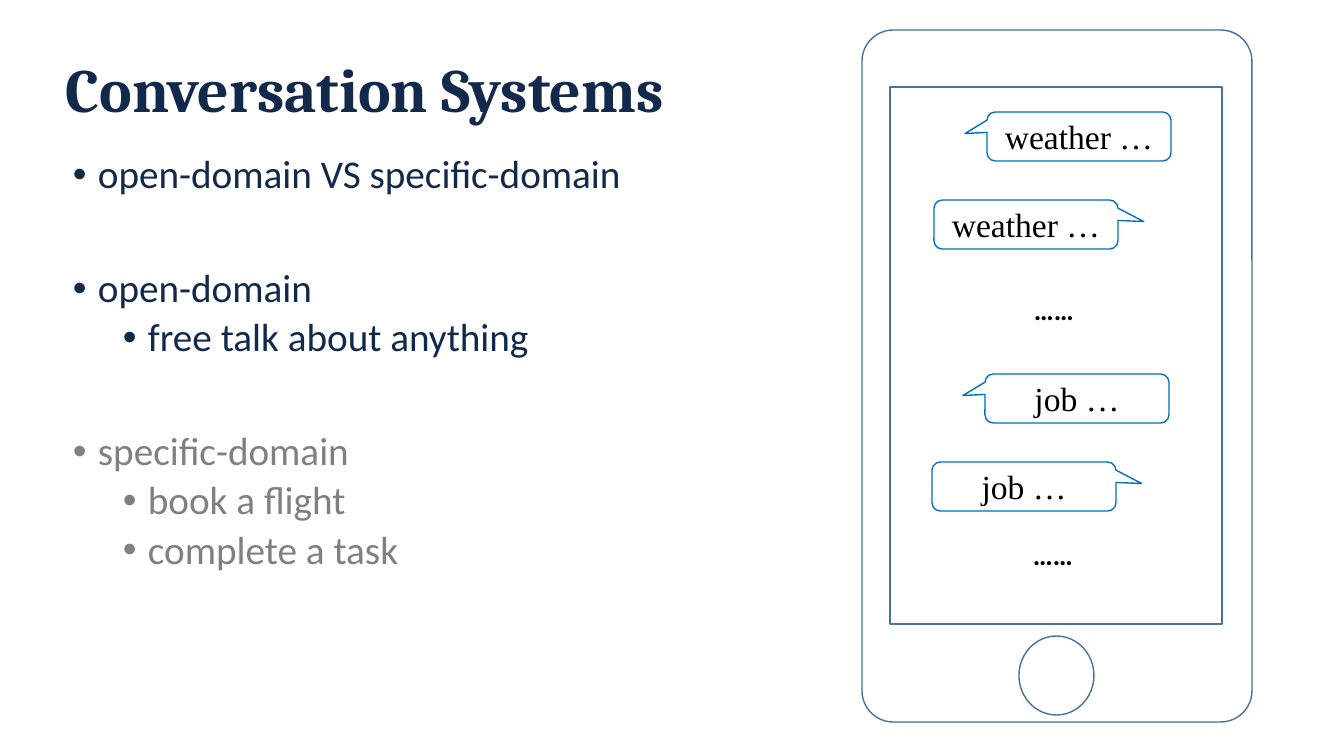
import pptx
import pptx.dml.color
import pptx.enum.shapes
import pptx.enum.text
import pptx.oxml.ns
import pptx.util
from lxml import etree

RGB = pptx.dml.color.RGBColor
SHAPES = pptx.enum.shapes.MSO_SHAPE
ALIGN = pptx.enum.text.PP_ALIGN
ANCHOR = pptx.enum.text.MSO_ANCHOR

NAVY = RGB(0x13, 0x29, 0x4B)
GRAY = RGB(0x80, 0x80, 0x80)
BLACK = RGB(0, 0, 0)
WHITE = RGB(0xFF, 0xFF, 0xFF)
PHONE_BLUE = RGB(0x43, 0x73, 0x9E)
BUBBLE_BLUE = RGB(0x00, 0x70, 0xC0)

# Content
TITLE = "Conversation Systems"
BULLETS = [  # text, level, color, space before in points
    ("open-domain VS specific-domain", 0, NAVY, 0),
    ("open-domain", 0, NAVY, 51),
    ("free talk about anything", 1, NAVY, 5),
    ("specific-domain", 0, GRAY, 51),
    ("book a flight", 1, GRAY, 5),
    ("complete a task", 1, GRAY, 5),
]
PHONE = [  # shape, left, top, width, height, corner
    (SHAPES.ROUNDED_RECTANGLE, 862, 30, 390, 692, 0.08),
    (SHAPES.RECTANGLE, 890, 87, 332, 537, None),
    (SHAPES.OVAL, 1019, 636, 75, 79, None),
]
CHATS = [("weather …", 987, 112), ("job …", 985, 374)]  # topic, left, top
BUBBLE_SIZE = (184, 49)
REPLY_SHIFT = (-53, 88)
ASK_TIP, REPLY_TIP = -0.62, 0.64
DOTS = [(1024, 288), (1023, 533)]

PX = 914400 / 100.8


def px(length):
    return round(length * PX)


deck = pptx.Presentation()
deck.slide_width, deck.slide_height = px(1344), px(756)
page = deck.slides.add_slide(deck.slide_layouts[6])


def write(para, text, size, font, color, bold=False, align=None, line=None, before=0, level=None):
    """Fill one paragraph; a level makes it a bullet."""
    if level is not None:
        para.level = level
        props = para._p.get_or_add_pPr()
        props.set("marL", str(px(25 + 50 * level)))
        props.set("indent", str(px(-25)))
        etree.SubElement(props, pptx.oxml.ns.qn("a:buFont")).set("typeface", "Arial")
        etree.SubElement(props, pptx.oxml.ns.qn("a:buChar")).set("char", "•")
    para.alignment = align
    para.line_spacing = line
    para.space_before = pptx.util.Pt(before)
    span = para.add_run()
    span.text = text
    span.font.size = pptx.util.Pt(size)
    span.font.name = font
    span.font.bold = bold
    span.font.color.rgb = color


def add_frame(left, top, width, height, anchor=ANCHOR.TOP):
    frame = page.shapes.add_textbox(px(left), px(top), px(width), px(height)).text_frame
    frame.word_wrap = True
    frame.vertical_anchor = anchor
    return frame


def add_outline(kind, left, top, width, height, color):
    shape = page.shapes.add_shape(kind, px(left), px(top), px(width), px(height))
    shape.shadow.inherit = False
    shape.fill.solid()
    shape.fill.fore_color.rgb = WHITE
    shape.line.color.rgb = color
    shape.line.width = pptx.util.Pt(1)
    return shape


def add_bubble(text, left, top, tip):
    bubble = add_outline(SHAPES.ROUNDED_RECTANGULAR_CALLOUT, left, top, *BUBBLE_SIZE, BUBBLE_BLUE)
    for index, value in enumerate((tip, -0.06, 0.17)):
        bubble.adjustments[index] = value
    bubble.text_frame.vertical_anchor = ANCHOR.MIDDLE
    write(bubble.text_frame.paragraphs[0], text, 24, "Times New Roman", BLACK, align=ALIGN.CENTER)


# Title and bullets
title = add_frame(56, 30, 1221, 126, ANCHOR.MIDDLE)
write(title.paragraphs[0], TITLE, 44, "Cambria", NAVY, bold=True, line=0.9)

body = add_frame(63, 150, 780, 480)
for index, (text, level, color, before) in enumerate(BULLETS):
    para = body.add_paragraph() if index else body.paragraphs[0]
    write(para, text, 28, "Calibri", color, line=0.9, before=before, level=level)

# Phone
for kind, left, top, width, height, corner in PHONE:
    part = add_outline(kind, left, top, width, height, PHONE_BLUE)
    if corner:
        part.adjustments[0] = corner

# Chat: each message is answered by a bubble on the other side
for topic, left, top in CHATS:
    add_bubble(topic, left, top, ASK_TIP)
    add_bubble(topic, left + REPLY_SHIFT[0], top + REPLY_SHIFT[1], REPLY_TIP)
for left, top in DOTS:
    write(add_frame(left, top, 139, 44).paragraphs[0], "……", 20, "Calibri", BLACK, bold=True)

deck.save("out.pptx")
